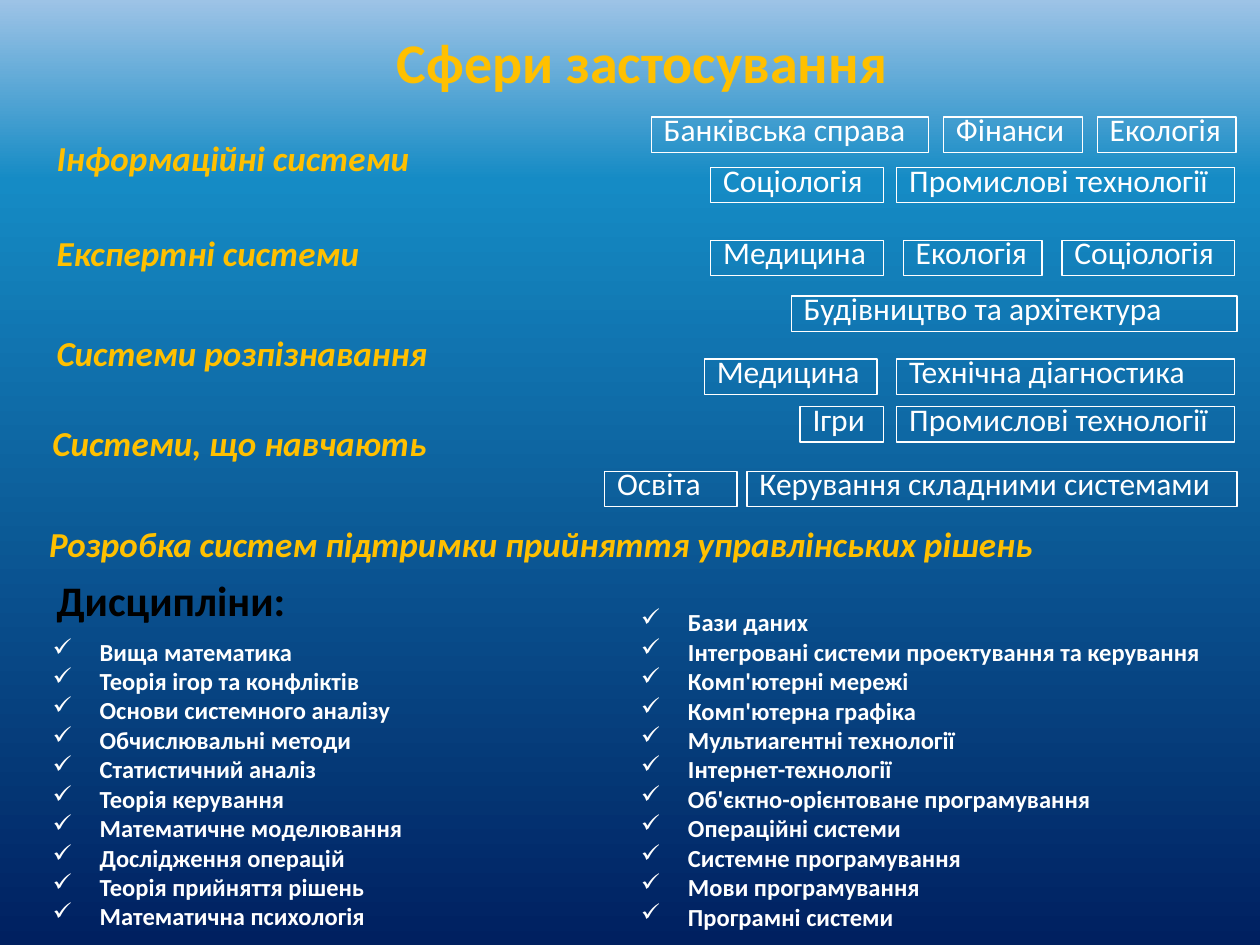
from copy import deepcopy
from dataclasses import dataclass

from lxml.etree import SubElement
from pptx import Presentation
from pptx.dml.color import RGBColor
from pptx.enum.shapes import MSO_SHAPE
from pptx.enum.text import MSO_ANCHOR, MSO_AUTO_SIZE, PP_ALIGN
from pptx.oxml.ns import qn
from pptx.slide import Slide
from pptx.text.text import TextFrame
from pptx.util import Cm, Pt


@dataclass(frozen=True)
class Theme:
    font: str = "Calibri"
    gold: str = "FFC000"
    white: str = "FFFFFF"
    black: str = "000000"
    sky: tuple = ((0, "002060"), (0.81, "158BC5"), (1, "9DC3E6"))
    title: int = 32
    label: int = 24
    head: int = 20
    chip: int = 18
    item: int = 14


@dataclass(frozen=True)
class Box:
    left: float
    top: float
    width: float
    height: float


@dataclass(frozen=True)
class Style:
    size: int
    color: str
    bold: bool = True
    slant: bool = False
    align: PP_ALIGN = PP_ALIGN.LEFT
    anchor: MSO_ANCHOR = MSO_ANCHOR.TOP


@dataclass(frozen=True)
class Label:
    text: str
    box: Box
    style: Style


@dataclass(frozen=True)
class Chip:
    text: str
    left: float
    width: float


THEME = Theme()
HEAD = Style(THEME.head, THEME.gold, slant=True)
MID = Style(THEME.head, THEME.gold, slant=True, anchor=MSO_ANCHOR.MIDDLE)
CENTER = Style(THEME.head, THEME.gold, slant=True,
               align=PP_ALIGN.CENTER, anchor=MSO_ANCHOR.MIDDLE)
TAG = Style(THEME.chip, THEME.white, bold=False,
            align=PP_ALIGN.JUSTIFY, anchor=MSO_ANCHOR.MIDDLE)
ITEM = Style(THEME.item, THEME.white)

LABELS = (
    Label("Сфери застосування", Box(7.75, 0.43, 13.28, 1.63),
          Style(THEME.title, THEME.gold)),
    Label("Інформаційні системи", Box(0.89, 2.62, 7.9, 1.11), HEAD),
    Label("Експертні системи", Box(0.89, 4.55, 8.03, 1.11), HEAD),
    Label("Системи розпізнавання", Box(0.89, 6.55, 8.43, 1.11), HEAD),
    Label("Системи, що навчають", Box(0.74, 8.36, 8.18, 1.11), CENTER),
    Label("Розробка систем підтримки прийняття управлінських рішень",
          Box(0.74, 10.41, 22.3, 1.11), MID),
    Label("Дисципліни:", Box(0.89, 11.46, 5.16, 1.27),
          Style(THEME.label, THEME.black)),
)

TALL = 0.71
SMALL, MEDIUM, LARGE = 2.8, 3.48, 6.81
ROWS = (
    (2.36, (Chip("Банківська справа", 13.13, 5.59),
            Chip("Фінанси", 19.02, SMALL),
            Chip("Екологія", 22.12, SMALL))),
    (3.38, (Chip("Соціологія", 14.33, MEDIUM),
            Chip("Промислові технології", 18.08, LARGE))),
    (4.85, (Chip("Медицина", 14.33, MEDIUM),
            Chip("Екологія", 18.21, SMALL),
            Chip("Соціологія", 21.41, MEDIUM))),
    (5.97, (Chip("Будівництво та архітектура", 15.95, 8.99),)),
    (7.24, (Chip("Медицина", 14.2, MEDIUM),
            Chip("Технічна діагностика", 18.08, LARGE))),
    (8.2, (Chip("Ігри", 16.13, 1.68),
           Chip("Промислові технології", 18.08, LARGE))),
    (9.5, (Chip("Освіта", 12.19, 2.67),
           Chip("Керування складними системами", 15.06, 9.88))),
)

LISTS = (
    (Box(0.81, 12.71, 11.6, 6.2), (
        "Вища математика", "Теорія ігор та конфліктів",
        "Основи системного аналізу", "Обчислювальні методи",
        "Статистичний аналіз", "Теорія керування",
        "Математичне моделювання", "Дослідження операцій",
        "Теорія прийняття рішень", "Математична психологія")),
    (Box(12.67, 12.12, 12.37, 6.79), (
        "Бази даних", "Інтегровані системи проектування та керування",
        "Комп'ютерні мережі", "Комп'ютерна графіка",
        "Мультиагентні технології", "Інтернет-технології",
        "Об'єктно-орієнтоване програмування", "Операційні системи",
        "Системне програмування", "Мови програмування",
        "Програмні системи")),
)


def place(box: Box) -> tuple:
    return Cm(box.left), Cm(box.top), Cm(box.width), Cm(box.height)


def write(frame: TextFrame, text: str, style: Style) -> None:
    frame.text = text
    frame.word_wrap = True
    frame.auto_size = MSO_AUTO_SIZE.SHAPE_TO_FIT_TEXT
    frame.vertical_anchor = style.anchor
    for para in frame.paragraphs:
        para.alignment = style.align
        for run in para.runs:
            font = run.font
            font.name = THEME.font
            font.size = Pt(style.size)
            font.bold = style.bold
            font.italic = style.slant
            font.color.rgb = RGBColor.from_string(style.color)


def paint(slide: Slide) -> None:
    fill = slide.background.fill
    fill.gradient()
    fill.gradient_angle = 90
    stops = slide.element.find(".//" + qn("a:gsLst"))
    stops.append(deepcopy(stops[-1]))
    for stop, (spot, color) in zip(fill.gradient_stops, THEME.sky):
        stop.position = spot
        stop.color.rgb = RGBColor.from_string(color)


def add_label(slide: Slide, label: Label) -> None:
    shape = slide.shapes.add_textbox(*place(label.box))
    write(shape.text_frame, label.text, label.style)


def add_chip(slide: Slide, chip: Chip, top: float) -> None:
    box = Box(chip.left, top, chip.width, TALL)
    shape = slide.shapes.add_shape(MSO_SHAPE.RECTANGLE, *place(box))
    shape.shadow.inherit = False
    shape.fill.background()
    shape.line.color.rgb = RGBColor.from_string(THEME.white)
    shape.line.width = Pt(0.75)
    write(shape.text_frame, chip.text, TAG)
    shape.text_frame.paragraphs[0].line_spacing = 0.6


def add_list(slide: Slide, box: Box, items: tuple) -> None:
    frame = slide.shapes.add_textbox(*place(box)).text_frame
    write(frame, "\n".join(items), ITEM)
    for para in frame.paragraphs:
        props = para._p.get_or_add_pPr()
        props.set("marL", str(Cm(0.95)))
        props.set("indent", str(-Cm(0.95)))
        SubElement(props, qn("a:buChar")).set("char", "✓")


def main() -> None:
    deck = Presentation()
    deck.slide_width, deck.slide_height = Cm(25.4), Cm(19.05)
    slide = deck.slides.add_slide(deck.slide_layouts[6])
    paint(slide)
    for box, items in LISTS:
        add_list(slide, box, items)
    for label in LABELS:
        add_label(slide, label)
    for top, chips in ROWS:
        for chip in chips:
            add_chip(slide, chip, top)
    deck.save("out.pptx")


if __name__ == "__main__":
    main()
